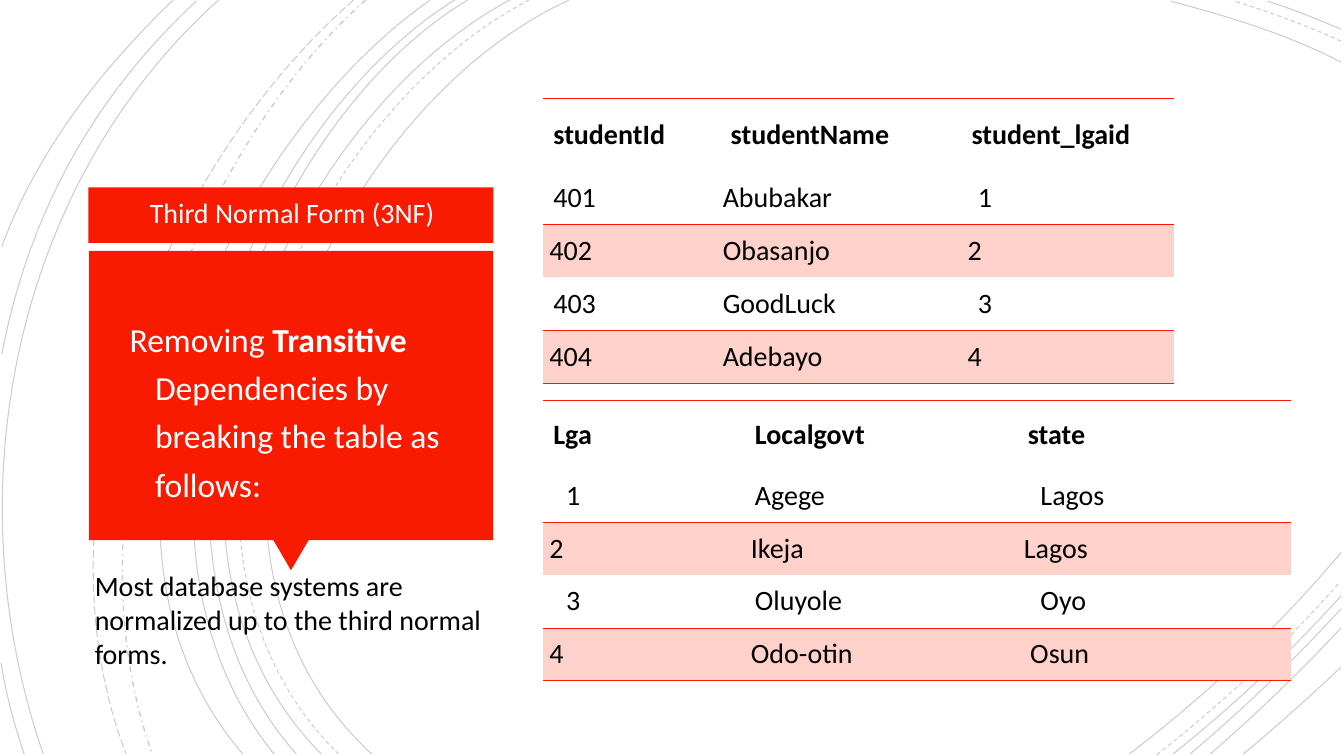
from dataclasses import dataclass

from lxml import etree
from pptx import Presentation
from pptx.dml.color import RGBColor
from pptx.enum.dml import MSO_LINE
from pptx.enum.shapes import MSO_SHAPE
from pptx.enum.text import MSO_ANCHOR, PP_ALIGN
from pptx.oxml.ns import qn
from pptx.util import Cm, Pt

SOLID, DASH = MSO_LINE.SOLID, MSO_LINE.DASH
DASH_DOT, LONG_DASH = MSO_LINE.DASH_DOT, MSO_LINE.LONG_DASH
RECT, TRIANGLE = MSO_SHAPE.RECTANGLE, MSO_SHAPE.ISOSCELES_TRIANGLE
TOP, MIDDLE = MSO_ANCHOR.TOP, MSO_ANCHOR.MIDDLE
LEFT, CENTER = PP_ALIGN.LEFT, PP_ALIGN.CENTER

FONT = "Calibri"
RED, PINK, BLACK, WHITE = "F81B02", "FFD1CB", "000000", "FFFFFF"
NO_STYLE = "{2D5ABB26-0587-4C30-8999-92F81FD0307C}"
THICK, THIN = 0.75, 0.34


@dataclass
class Arc:
    """Cubic curve: start, two control points and end, in cm."""
    points: tuple
    dash: MSO_LINE = SOLID
    width: float = 0.75


@dataclass
class Block:
    shape: MSO_SHAPE
    box: tuple
    rotation: int = 0


@dataclass
class Label:
    box: tuple
    runs: list
    size: int = 20
    color: str = BLACK
    align: PP_ALIGN = LEFT
    anchor: MSO_ANCHOR = TOP
    spacing: float = 1.0
    margin: float = 0.25
    hanging: float = 0


@dataclass
class Row:
    texts: tuple
    insets: tuple
    height: float = 1.33
    banded: bool = False
    header: bool = False


@dataclass
class Grid:
    left: float
    top: float
    widths: tuple
    rows: list


ARCS = [
    Arc(((14.35, 0), (8, 2.92), (3.63, 13.72), (9.37, 19))),
    Arc(((33.81, 1.57), (32.46, 0.86), (30.94, 0.41), (29.51, 0.03))),
    Arc(((28.47, 19), (30.4, 17.53), (32.23, 15.8), (33.81, 13.92))),
    Arc(((13.34, 0), (7.24, 3.18), (3.12, 13.64), (8.53, 19)), DASH),
    Arc(((33.81, 1.04), (32.94, 0.64), (32, 0.3), (31.12, 0.03)), DASH),
    Arc(((29.16, 19.02), (30.81, 17.73), (32.39, 16.26), (33.78, 14.66)), DASH),
    Arc(((12.85, 0), (6.86, 3.23), (2.79, 13.64), (8.1, 19))),
    Arc(((33.81, 0.74), (33.2, 0.48), (32.59, 0.23), (31.95, 0.03))),
    Arc(((29.57, 19), (31.06, 17.81), (32.51, 16.46), (33.81, 15.01))),
    Arc(((11.79, 0), (6.2, 3.38), (2.79, 13.74), (7.47, 19))),
    Arc(((30, 19), (31.34, 17.88), (32.61, 16.64), (33.81, 15.34))),
    Arc(((11.46, 0), (5.87, 3.51), (2.46, 13.54), (6.91, 19))),
    Arc(((30.51, 19), (31.65, 18.01), (32.77, 16.94), (33.81, 15.82))),
    Arc(((10.85, 0), (5.51, 3.73), (1.35, 13.44), (6.12, 19))),
    Arc(((31.34, 19), (32.18, 18.31), (32.99, 17.58), (33.81, 16.81))),
    Arc(((9.22, 0), (4.47, 4.22), (1.65, 12.93), (3.84, 19)), DASH_DOT, 1),
    Arc(((8.92, 0), (3.99, 4.29), (0.74, 12.67), (3.18, 19)), LONG_DASH),
    Arc(((5.51, 0), (0.28, 4.7), (-1.17, 12.45), (1.09, 19))),
    Arc(((4.95, 0.03), (2.34, 2.44), (0.71, 5.44), (0.05, 8.92))),
    Arc(((0.03, 16.71), (0.15, 17.5), (0.36, 18.26), (0.61, 19))),
    Arc(((4.37, 0), (2.54, 1.75), (0.94, 3.81), (0.05, 6.2))),
]

BLOCKS = [
    Block(RECT, (2.23, 4.72, 10.21, 1.4)),
    Block(TRIANGLE, (6.89, 13.61, 0.89, 0.76), 180),
    Block(RECT, (2.24, 6.32, 10.19, 7.29)),
]

LABELS = [
    Label((3.02, 7.7, 8.94, 5.16),
          [("Removing ", False), ("Transitive ", True),
           ("Dependencies by breaking the table as follows:", False)],
          size=24, color=WHITE, spacing=1.2, hanging=0.64),
    Label((2.78, 4.8, 9.17, 1.24), [("Third Normal Form (3NF)", False)],
          color="FFFEFF", align=CENTER, anchor=MIDDLE, spacing=0.85, margin=0.6),
    Label((2.14, 14.21, 10.29, 2.79),
          [("Most database systems are normalized up to the third normal forms.", False)]),
]

HEAD = (0.25, 0.25, 0.25)
STUDENT_PLAIN, STUDENT_BAND = (0.25, 0.05, 0.41), (0.15, 0.05, 0.15)
LGA_PLAIN, LGA_BAND = (0.57, 0.25, 0.57), (0.15, 0.15, 0.15)

GRIDS = [
    Grid(13.7, 2.48, (4.47, 6.07, 5.36), [
        Row(("studentId", "studentName", "student_lgaid"), HEAD, 1.85, header=True),
        Row(("401", "Abubakar", "1"), STUDENT_PLAIN),
        Row(("402", "Obasanjo", "2"), STUDENT_BAND, banded=True),
        Row(("403", "GoodLuck", "3"), STUDENT_PLAIN),
        Row(("404", "Adebayo", "4"), STUDENT_BAND, banded=True),
    ]),
    Grid(13.7, 10.1, (5.08, 6.88, 6.88), [
        Row(("Lga", "Localgovt", "state"), HEAD, 1.73, header=True),
        Row(("1", "Agege", "Lagos"), LGA_PLAIN),
        Row(("2", "Ikeja", "Lagos"), LGA_BAND, banded=True),
        Row(("3", "Oluyole", "Oyo"), LGA_PLAIN),
        Row(("4", "Odo-otin", "Osun"), (0.15, 0.15, 0.31), banded=True),
    ]),
]


def rgb(color: str) -> RGBColor:
    return RGBColor.from_string(color)


def add_run(p, text: str, size: int, color: str, bold: bool) -> None:
    r = p.add_run()
    r.text = text
    r.font.name, r.font.size, r.font.bold = FONT, Pt(size), bold
    r.font.color.rgb = rgb(color)


def add_arc(s, arc: Arc) -> None:
    start, *rest = [(Cm(x), Cm(y)) for x, y in arc.points]
    builder = s.shapes.build_freeform(*start)
    builder.add_line_segments(rest, close=False)
    sp = builder.convert_to_shape()
    # Join the three segments into one cubic curve
    segments = list(sp._element.iter(qn("a:lnTo")))
    curve = etree.SubElement(segments[0].getparent(), qn("a:cubicBezTo"))
    for segment in segments:
        curve.append(segment[0])
        segment.getparent().remove(segment)
    sp.shadow.inherit = False
    sp.fill.background()
    sp.line.color.rgb = rgb(BLACK)
    sp.line.width, sp.line.dash_style = Pt(arc.width), arc.dash
    color = sp.line._ln.find(".//" + qn("a:srgbClr"))
    etree.SubElement(color, qn("a:alpha"), val="20000")


def add_block(s, block: Block) -> None:
    sp = s.shapes.add_shape(block.shape, *map(Cm, block.box))
    sp.shadow.inherit = False
    sp.fill.solid()
    sp.fill.fore_color.rgb = rgb(RED)
    sp.line.fill.background()
    sp.rotation = block.rotation


def add_label(s, label: Label) -> None:
    tf = s.shapes.add_textbox(*map(Cm, label.box)).text_frame
    tf.word_wrap, tf.vertical_anchor = True, label.anchor
    tf.margin_left = tf.margin_right = Cm(label.margin)
    p = tf.paragraphs[0]
    p.alignment, p.line_spacing = label.align, label.spacing
    if label.hanging:
        pPr = p._p.get_or_add_pPr()
        pPr.set("marL", str(Cm(label.hanging)))
        pPr.set("indent", str(-Cm(label.hanging)))
    for text, bold in label.runs:
        add_run(p, text, label.size, label.color, bold)


def set_borders(cell, top: float, bottom: float) -> None:
    tcPr = cell._tc.get_or_add_tcPr()
    for i, (side, width) in enumerate(zip("LRTB", (0, 0, top, bottom))):
        ln = etree.Element(qn(f"a:ln{side}"), w=str(Pt(width)))
        fill = etree.SubElement(ln, qn("a:solidFill" if width else "a:noFill"))
        if width:
            etree.SubElement(fill, qn("a:srgbClr"), val=RED)
        tcPr.insert(i, ln)


def add_grid(s, grid: Grid) -> None:
    size = (sum(grid.widths), sum(row.height for row in grid.rows))
    table = s.shapes.add_table(len(grid.rows), len(grid.widths),
                               *map(Cm, (grid.left, grid.top, *size))).table
    table.first_row = table.horz_banding = False
    table._tbl.tblPr.find(qn("a:tableStyleId")).text = NO_STYLE
    for column, width in zip(table.columns, grid.widths):
        column.width = Cm(width)
    for i, row in enumerate(grid.rows):
        table.rows[i].height = Cm(row.height)
        top = THICK if row.header else THIN if row.banded else 0
        bottom = THIN if row is grid.rows[-1] else 0
        for j, (text, inset) in enumerate(zip(row.texts, row.insets)):
            cell = table.cell(i, j)
            cell.vertical_anchor = MIDDLE
            cell.margin_left, cell.margin_right = Cm(inset), Cm(0.03)
            add_run(cell.text_frame.paragraphs[0], text, 20, BLACK, row.header)
            if row.banded:
                cell.fill.solid()
                cell.fill.fore_color.rgb = rgb(PINK)
            else:
                cell.fill.background()
            set_borders(cell, top, bottom)


def main() -> None:
    prs = Presentation()
    prs.slide_width, prs.slide_height = Cm(33.88), Cm(19.05)
    s = prs.slides.add_slide(prs.slide_layouts[6])
    # Background arcs, then red callout, texts and tables
    for draw, items in ((add_arc, ARCS), (add_block, BLOCKS),
                        (add_label, LABELS), (add_grid, GRIDS)):
        for item in items:
            draw(s, item)
    prs.save("out.pptx")


if __name__ == "__main__":
    main()
